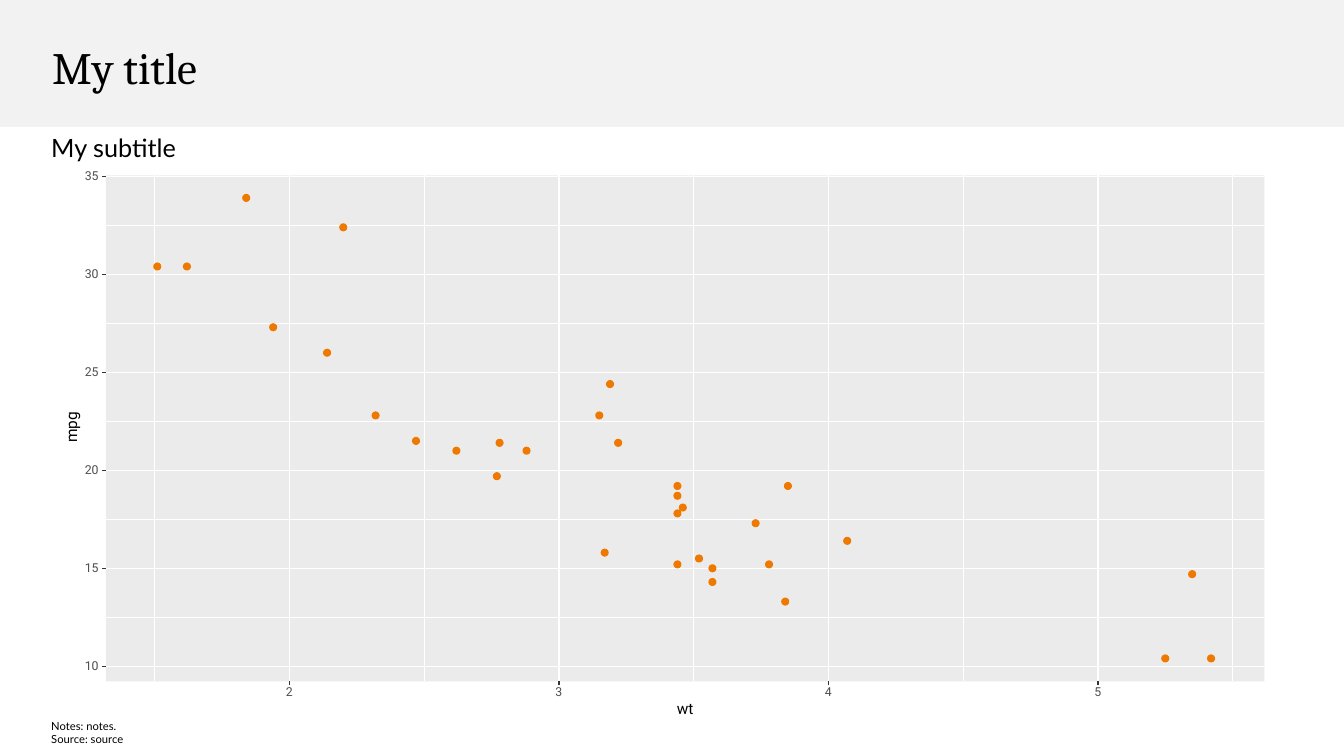
from dataclasses import dataclass

from lxml import etree
from pptx import Presentation
from pptx import util as u
from pptx.dml.color import RGBColor
from pptx.enum import shapes, text
from pptx.oxml import ns

BLACK = RGBColor(0x00, 0x00, 0x00)
WHITE = RGBColor(0xFF, 0xFF, 0xFF)
BAND = RGBColor(0xF2, 0xF2, 0xF2)
PANEL = RGBColor(0xEB, 0xEB, 0xEB)
ORANGE = RGBColor(0xEF, 0x79, 0x00)
TICK = RGBColor(0x33, 0x33, 0x33)
GREY = RGBColor(0x4D, 0x4D, 0x4D)

LEFT, TOP, RIGHT, BASE = 1.05, 1.74, 12.54, 6.76  # plot panel edges
THIN, THICK = 0.53, 1.07
TICK_LEN = 0.04
DOT = 0.07


@dataclass(frozen=True)
class Axis:
    """Places data values on the slide, in inches."""
    first: float
    start: float
    scale: float
    major: tuple[float, ...]
    minor: tuple[float, ...]

    def place(self, value: float) -> float:
        return self.start + (value - self.first) * self.scale


@dataclass(frozen=True)
class Label:
    words: str
    box: tuple[float, float, float, float]
    size: float
    font: str
    color: RGBColor = BLACK
    anchor: text.MSO_ANCHOR = text.MSO_ANCHOR.TOP
    spacing: float | None = None
    before: float = 0
    turn: float = 0
    tight: bool = False


WT = Axis(2, 2.87, 2.673, (2, 3, 4, 5), (1.5, 2.5, 3.5, 4.5, 5.5))
MPG = Axis(10, 6.61, -0.1944, tuple(range(10, 36, 5)),
           (12.5, 17.5, 22.5, 27.5, 32.5))

# Weight and mileage of each car
CARS = (
    (2.62, 21.0), (2.88, 21.0), (2.32, 22.8), (3.22, 21.4),
    (3.44, 18.7), (3.46, 18.1), (3.57, 14.3), (3.19, 24.4),
    (3.15, 22.8), (3.44, 19.2), (3.44, 17.8), (4.07, 16.4),
    (3.73, 17.3), (3.78, 15.2), (5.25, 10.4), (5.42, 10.4),
    (5.35, 14.7), (2.20, 32.4), (1.62, 30.4), (1.84, 33.9),
    (2.47, 21.5), (3.52, 15.5), (3.44, 15.2), (3.84, 13.3),
    (3.85, 19.2), (1.94, 27.3), (2.14, 26.0), (1.51, 30.4),
    (3.17, 15.8), (2.77, 19.7), (3.57, 15.0), (2.78, 21.4),
)

LABELS = (
    Label("My title", (0.42, 0.4, 10.54, 0.59), 32, "Cambria",
          anchor=text.MSO_ANCHOR.MIDDLE, spacing=0.9),
    Label("My subtitle", (0.41, 1.3, 12.47, 0.34), 18, "Lato",
          spacing=0.9, before=10),
    Label("Notes: notes. \nSource: source", (0.41, 7.2, 12.48, 0.25), 8,
          "Lato", anchor=text.MSO_ANCHOR.BOTTOM),
)


def add_box(parent, kind: shapes.MSO_SHAPE, x: float, y: float, w: float,
            h: float, fill: RGBColor, line: float = 0) -> None:
    box = parent.add_shape(kind, *map(u.Inches, (x, y, w, h)))
    box.shadow.inherit = False
    box.fill.solid()
    box.fill.fore_color.rgb = fill
    if line:
        box.line.color.rgb = fill
        box.line.width = u.Pt(line)
    else:
        box.line.fill.background()


def add_line(parent, x1: float, y1: float, x2: float, y2: float,
             color: RGBColor, width: float) -> None:
    line = parent.add_connector(shapes.MSO_CONNECTOR.STRAIGHT,
                                *map(u.Inches, (x1, y1, x2, y2)))
    line.line.color.rgb = color
    line.line.width = u.Pt(width)
    etree.SubElement(line._element.spPr, ns.qn("a:effectLst"))


def add_label(parent, label: Label) -> None:
    box = parent.add_textbox(*map(u.Inches, label.box))
    box.rotation = label.turn
    frame = box.text_frame
    frame.word_wrap = not label.tight
    frame.vertical_anchor = label.anchor
    para = frame.paragraphs[0]
    para.text = label.words
    para.font.size = u.Pt(label.size)
    para.font.name = label.font
    para.font.color.rgb = label.color
    if label.tight:
        frame.margin_left = frame.margin_right = 0
        frame.margin_top = frame.margin_bottom = 0
        para.alignment = text.PP_ALIGN.CENTER
        para.line_spacing = u.Pt(label.size)
    elif label.spacing:
        para.line_spacing = label.spacing
    if label.before:
        para.space_before = u.Pt(label.before)


def add_mark(parent, words: str, x: float, y: float, w: float, h: float,
             size: float = 8.8, color: RGBColor = GREY,
             turn: float = 0) -> None:
    add_label(parent, Label(words, (x, y, w, h), size, "Roboto", color,
                            text.MSO_ANCHOR.MIDDLE, turn=turn, tight=True))


def add_grid(parent, rows: tuple[float, ...], cols: tuple[float, ...],
             width: float) -> None:
    for row in rows:
        y = MPG.place(row)
        add_line(parent, LEFT, y, RIGHT, y, WHITE, width)
    for col in cols:
        x = WT.place(col)
        add_line(parent, x, BASE, x, TOP, WHITE, width)


def add_plot(parent) -> None:
    # Panel and grid
    rect = shapes.MSO_SHAPE.RECTANGLE
    add_box(parent, rect, 0.59, 1.66, 12.03, 5.54, WHITE, THICK)
    add_box(parent, rect, LEFT, TOP, RIGHT - LEFT, BASE - TOP, PANEL)
    add_grid(parent, MPG.minor, WT.minor, THIN)
    add_grid(parent, MPG.major, WT.major, THICK)

    # Data points
    for wt, mpg in CARS:
        add_box(parent, shapes.MSO_SHAPE.OVAL, WT.place(wt) - DOT / 2,
                MPG.place(mpg) - DOT / 2, DOT, DOT, ORANGE, 0.71)

    # Ticks and their labels
    for mpg in MPG.major:
        y = MPG.place(mpg)
        add_mark(parent, str(mpg), 0.83, y - 0.04, 0.16, 0.09)
        add_line(parent, LEFT - TICK_LEN, y, LEFT, y, TICK, THICK)
    for wt in WT.major:
        x = WT.place(wt)
        add_mark(parent, str(wt), x - 0.04, 6.83, 0.08, 0.09)
        add_line(parent, x, BASE + TICK_LEN, x, BASE, TICK, THICK)

    # Axis titles, with room to stay on one line
    add_mark(parent, "wt", 6.69, 6.99, 0.21, 0.1, 11, BLACK)
    add_mark(parent, "mpg", 0.52, 4.18, 0.4, 0.12, 11, BLACK, 270)


def main() -> None:
    deck = Presentation()
    deck.slide_width, deck.slide_height = u.Inches(13.33), u.Inches(7.5)
    slide = deck.slides.add_slide(deck.slide_layouts[6])
    add_box(slide.shapes, shapes.MSO_SHAPE.RECTANGLE, 0, 0, 13.33, 1.26, BAND)
    add_plot(slide.shapes.add_group_shape().shapes)
    for label in LABELS:
        add_label(slide.shapes, label)
    deck.save("out.pptx")


if __name__ == "__main__":
    main()
